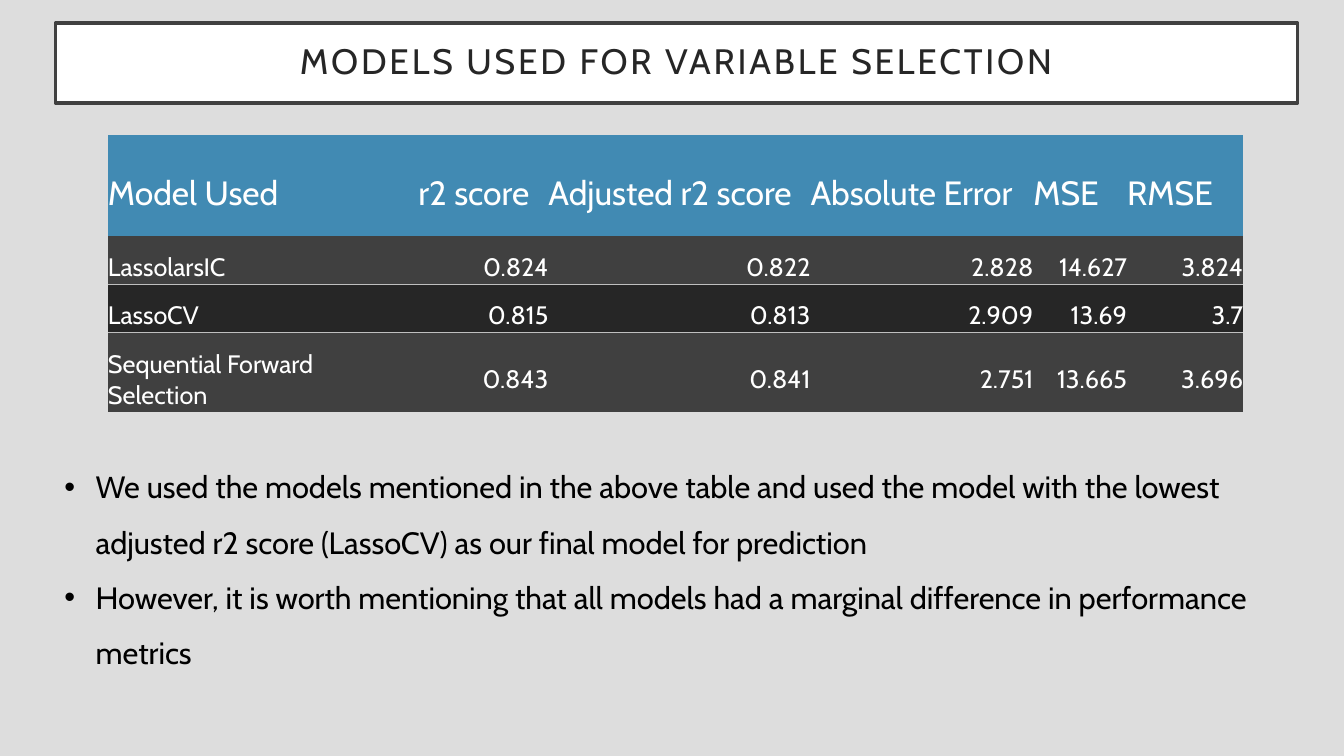
import dataclasses
import typing

import lxml.etree
import pptx
import pptx.dml.color
import pptx.enum.text
import pptx.oxml.ns
import pptx.util

FONT = "Cabin"
COLOURS = {
    "page": "DDDDDD",
    "white": "FFFFFF",
    "black": "000000",
    "frame": "404040",
    "dark": "262626",
    "header": "418AB3",
    "rule": "BFBFBF",
}
ALIGN = pptx.enum.text.PP_ALIGN
MIDDLE = pptx.enum.text.MSO_ANCHOR.MIDDLE
NO_STYLE_NO_GRID = "{2D5ABB26-0587-4C30-8999-92F81FD0307C}"

deck = pptx.Presentation()
deck.slide_width = pptx.util.Inches(13.33)
deck.slide_height = pptx.util.Inches(7.5)


def across(percent: float) -> int:
    return round(deck.slide_width * percent / 100)


def down(percent: float) -> int:
    return round(deck.slide_height * percent / 100)


@dataclasses.dataclass(frozen=True)
class Area:
    """A rectangle in percent of the slide's width and height."""
    left: float
    top: float
    width: float
    height: float

    def lengths(self) -> tuple[int, int, int, int]:
        return across(self.left), down(self.top), across(self.width), down(self.height)


@dataclasses.dataclass(frozen=True)
class Column:
    heading: str
    width: float
    align: ALIGN


@dataclasses.dataclass(frozen=True)
class Row:
    values: tuple[str, ...]
    height: float
    fill: str
    size: float = 18
    rule: typing.Optional[str] = None


TITLE_AREA = Area(4.13, 3.07, 92.42, 10.53)
TABLE_AREA = Area(8.03, 17.87, 84.47, 36.66)
NOTES_AREA = Area(4.05, 58.8, 92.5, 30.13)

COLUMNS = (
    Column("Model Used", 23.1, ALIGN.LEFT),
    Column("r2 score", 9.68, ALIGN.RIGHT),
    Column("Adjusted r2 score", 19.5, ALIGN.RIGHT),
    Column("Absolute Error", 16.58, ALIGN.RIGHT),
    Column("MSE", 6.98, ALIGN.RIGHT),
    Column("RMSE", 8.63, ALIGN.RIGHT),
)
ROWS = (
    Row(tuple(column.heading for column in COLUMNS), 13.33, "header", size=24),
    Row(("LassolarsIC", "0.824", "0.822", "2.828", "14.627", "3.824"), 6.4, "frame", rule="lnB"),
    Row(("LassoCV", "0.815", "0.813", "2.909", "13.69", "3.7"), 6.4, "dark", rule="lnT"),
    Row(("Sequential Forward Selection", "0.843", "0.841", "2.751", "13.665", "3.696"), 10.53, "frame"),
)
NOTES = (
    "We used the models mentioned in the above table and used the model with the lowest "
    "adjusted r2 score (LassoCV) as our final model for prediction",
    "However, it is worth mentioning that all models had a marginal difference in performance metrics",
)


def colour(name: str) -> pptx.dml.color.RGBColor:
    return pptx.dml.color.RGBColor.from_string(COLOURS[name])


def write(para, text: str, *, size: float, ink: str, align: ALIGN = ALIGN.LEFT,
          line_spacing: float = 1.0, tracking: float = 0, bullet: str = "") -> None:
    para.alignment = align
    para.line_spacing = line_spacing
    span = para.add_run()
    span.text = text
    span.font.name = FONT
    span.font.size = pptx.util.Pt(size)
    span.font.color.rgb = colour(ink)
    if tracking:
        span.font._element.set("spc", str(round(tracking * 100)))
    if bullet:
        indent = pptx.util.Inches(0.31)
        settings = para._p.get_or_add_pPr()
        settings.set("marL", str(indent))
        settings.set("indent", str(-indent))
        for tag, key, value in (("a:buFont", "typeface", "Arial"), ("a:buChar", "char", bullet)):
            lxml.etree.SubElement(settings, pptx.oxml.ns.qn(tag)).set(key, value)


def draw_rule(cell, side: str) -> None:
    settings = cell._tc.get_or_add_tcPr()
    line = lxml.etree.Element(pptx.oxml.ns.qn(f"a:{side}"), w=str(pptx.util.Pt(1)))
    fill = lxml.etree.SubElement(line, pptx.oxml.ns.qn("a:solidFill"))
    lxml.etree.SubElement(fill, pptx.oxml.ns.qn("a:srgbClr"), val=COLOURS["rule"])
    settings.insert(0, line)


def draw_title(page) -> None:
    title = page.shapes.title
    title.left, title.top, title.width, title.height = TITLE_AREA.lengths()
    title.fill.solid()
    title.fill.fore_color.rgb = colour("white")
    title.line.color.rgb = colour("frame")
    title.line.width = pptx.util.Pt(2.5)
    frame = title.text_frame
    frame.auto_size = pptx.enum.text.MSO_AUTO_SIZE.NONE
    frame.vertical_anchor = MIDDLE
    frame.margin_left = frame.margin_right = pptx.util.Inches(0.3)
    frame.margin_top = frame.margin_bottom = pptx.util.Inches(0.2)
    write(frame.paragraphs[0], "MODELS USED FOR VARIABLE SELECTION", size=25.2, ink="dark",
          align=ALIGN.CENTER, line_spacing=0.9, tracking=2)


def draw_table(page) -> None:
    table = page.shapes.add_table(len(ROWS), len(COLUMNS), *TABLE_AREA.lengths()).table
    table.first_row = table.horz_banding = False
    table._tbl.tblPr.find(pptx.oxml.ns.qn("a:tableStyleId")).text = NO_STYLE_NO_GRID
    for index, column in enumerate(COLUMNS):
        table.columns[index].width = across(column.width)
    for row_index, row in enumerate(ROWS):
        table.rows[row_index].height = down(row.height)
        for column_index, (column, value) in enumerate(zip(COLUMNS, row.values)):
            cell = table.cell(row_index, column_index)
            cell.margin_left = cell.margin_right = cell.margin_bottom = 0
            cell.margin_top = pptx.util.Inches(0.15)
            cell.vertical_anchor = MIDDLE
            cell.fill.solid()
            cell.fill.fore_color.rgb = colour(row.fill)
            write(cell.text_frame.paragraphs[0], value, size=row.size, ink="white",
                  align=column.align if row_index else ALIGN.LEFT)
            if row.rule:
                draw_rule(cell, row.rule)


def draw_notes(page) -> None:
    frame = page.shapes.add_textbox(*NOTES_AREA.lengths()).text_frame
    frame.word_wrap = True
    frame.auto_size = pptx.enum.text.MSO_AUTO_SIZE.SHAPE_TO_FIT_TEXT
    for index, note in enumerate(NOTES):
        para = frame.add_paragraph() if index else frame.paragraphs[0]
        write(para, note, size=22, ink="black", line_spacing=1.5, bullet="•")


def main() -> None:
    # Title-only page with a plain background
    page = deck.slides.add_slide(deck.slide_layouts[5])
    page.background.fill.solid()
    page.background.fill.fore_color.rgb = colour("page")

    # Content, from top to bottom
    draw_title(page)
    draw_table(page)
    draw_notes(page)
    deck.save("out.pptx")


if __name__ == "__main__":
    main()
